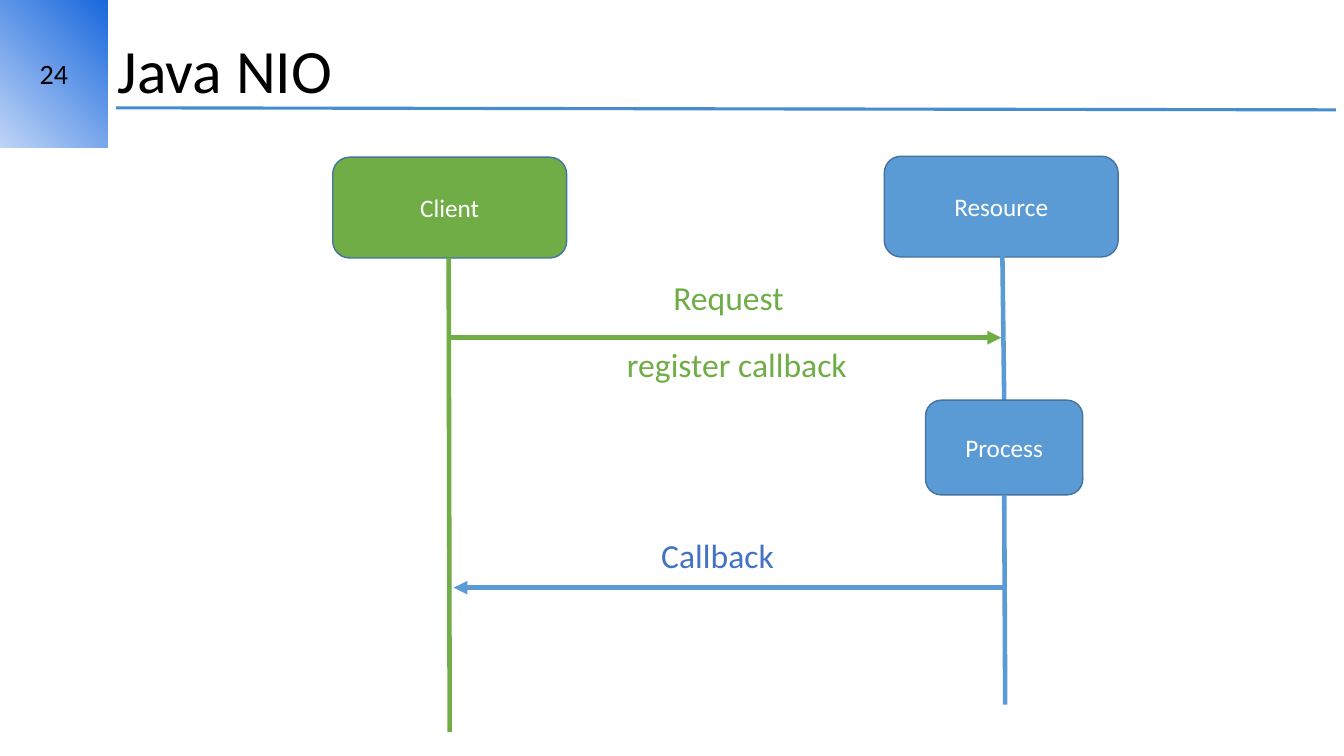
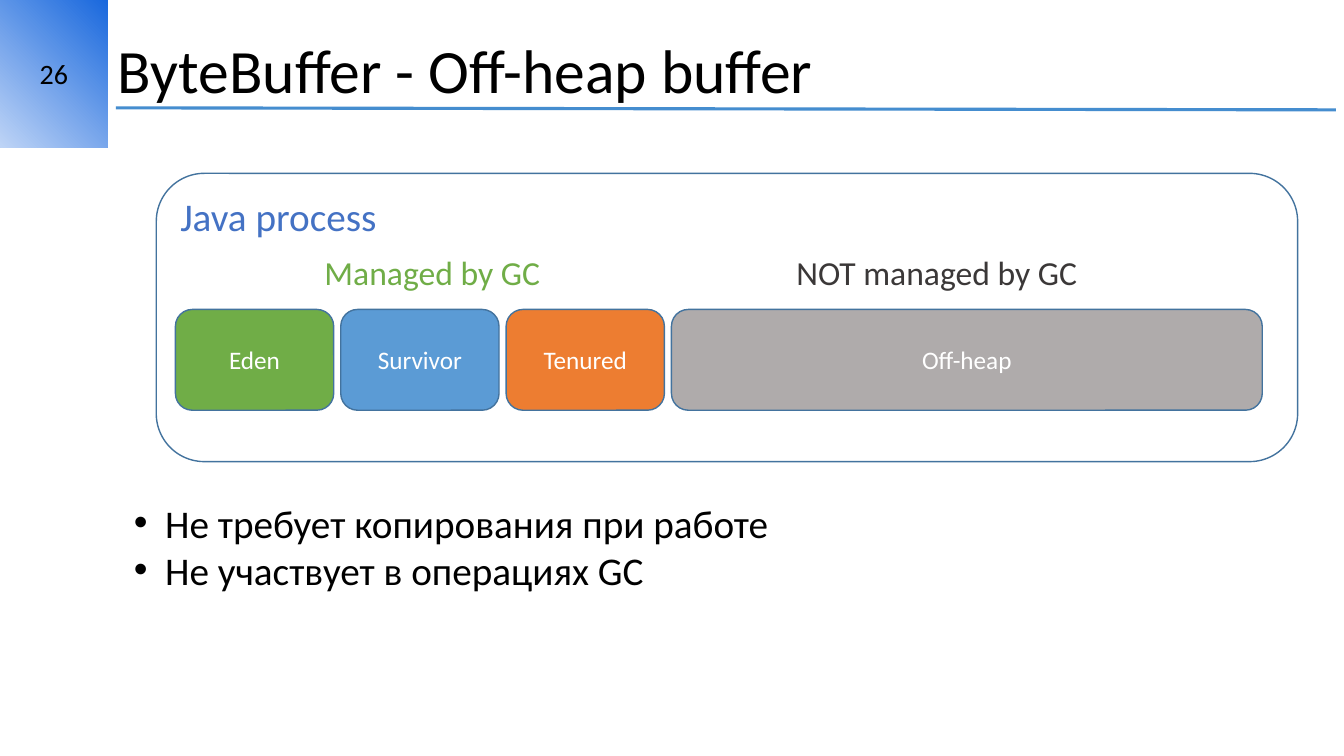
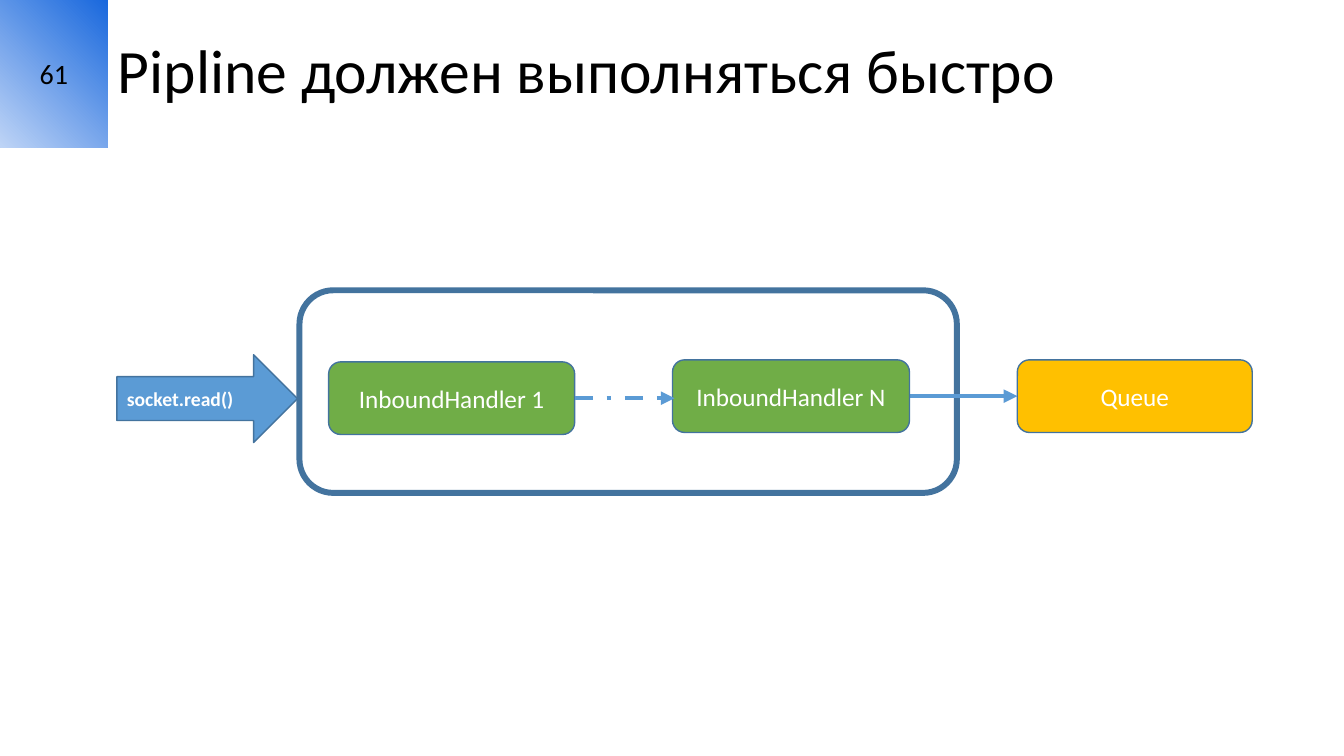
from lxml import etree
from pptx import Presentation
from pptx.dml.color import RGBColor as Rgb
from pptx.enum.dml import MSO_LINE as Dash
from pptx.enum.shapes import MSO_CONNECTOR as Link, MSO_SHAPE as Form
from pptx.enum.text import MSO_ANCHOR as Anchor, PP_ALIGN as Align
from pptx.oxml.ns import qn
from pptx.util import Pt

PX = 9144  # EMU per px, 100 px to the inch
WIDE, HIGH = 1333, 750

HUES = {
    "black": "000000", "white": "FFFFFF", "green": "70AD47", "blue": "5B9BD5",
    "ink": "4472C4", "edge": "43739E", "rule": "458DCF", "orange": "ED7D31",
    "grey": "AFABAB", "dark": "3B3838", "gold": "FFC000",
    "deep": "1968DD", "pale": "BED4F6",
}

# Font values by role
FONTS = {
    "title": {"size": Pt(44)},
    "number": {"size": Pt(20)},
    "head": {"size": Pt(28)},
    "label": {"size": Pt(24)},
    "box": {"size": Pt(18)},
    "small": {"size": Pt(14), "bold": True},
}


def hue(name):
    return Rgb.from_string(HUES[name])


def scale(*sizes):
    return [size * PX for size in sizes]


def write(shape, lines, role, color, align=Align.LEFT, anchor=Anchor.MIDDLE, **form):
    """Fill a shape with paragraphs of one style."""
    frame = shape.text_frame
    frame.word_wrap = True
    frame.vertical_anchor = anchor
    frame.text = "\n".join(lines)
    for para in frame.paragraphs:
        for key, value in {"alignment": align, **form}.items():
            setattr(para, key, value)
        for run in para.runs:
            for key, value in {"name": "Calibri", **FONTS[role]}.items():
                setattr(run.font, key, value)
            run.font.color.rgb = hue(color)
    return frame


def label(slide, place, lines, color, role="label", anchor=Anchor.TOP, **form):
    box = slide.shapes.add_textbox(*scale(*place))
    return write(box, lines, role, color, anchor=anchor, **form)


def block(slide, place, fill, form=Form.ROUNDED_RECTANGLE, weight=1):
    shape = slide.shapes.add_shape(form, *scale(*place))
    shape.shadow.inherit = False
    shape.fill.solid()
    shape.fill.fore_color.rgb = hue(fill)
    shape.line.color.rgb = hue("edge")
    shape.line.width = Pt(weight)
    return shape


def node(slide, place, text, fill):
    write(block(slide, place, fill), [text], "box", "white", Align.CENTER)


def line(slide, ends, color, weight=3.25, arrow=False, dash=None):
    link = slide.shapes.add_connector(Link.STRAIGHT, *scale(*ends))
    link.line.color.rgb = hue(color)
    link.line.width = Pt(weight)
    if dash:
        link.line.dash_style = dash
    if arrow:
        pen = link.line._get_or_add_ln()
        etree.SubElement(pen, qn("a:tailEnd"), type="triangle")
    props = link._element.spPr
    etree.SubElement(props, qn("a:effectLst"))


def bullets(slide, place, lines):
    frame = label(slide, place, lines, "black", "head")
    for para in frame.paragraphs:
        props = para._p.get_or_add_pPr()
        props.set("marL", str(31 * PX))
        props.set("indent", str(-31 * PX))
        etree.SubElement(props, qn("a:buFont"), typeface="Arial")
        etree.SubElement(props, qn("a:buChar"), char="•")


def page(deck, number, title, ruled=True):
    """Add a slide with the number band, the title and the rule."""
    slide = deck.slides.add_slide(deck.slide_layouts[6])
    band = block(slide, (0, 0, 107, 146), "deep", Form.RECTANGLE)
    band.line.fill.background()
    band.fill.gradient()
    band.fill.gradient_angle = 225
    for stop, name in zip(band.fill.gradient_stops, ("deep", "pale")):
        stop.color.rgb = hue(name)
    write(band, [str(number)], "number", "black", Align.CENTER)
    label(slide, (107, 0, WIDE - 107, 146), [title], "black", "title",
          Anchor.MIDDLE, line_spacing=0.9)
    if ruled:
        line(slide, (115, 107, 1325, 109), "rule", 2.25)
    return slide


def calls(deck):
    slide = page(deck, 24, "Java NIO")
    node(slide, (330, 156, 232, 100), "Client", "green")
    node(slide, (877, 155, 232, 100), "Resource", "blue")
    # Life lines
    line(slide, (445, 256, 446, 726), "green")
    line(slide, (994, 237, 996, 397), "blue")
    node(slide, (918, 397, 156, 94), "Process", "blue")
    line(slide, (996, 491, 997, 699), "blue")
    # Messages
    line(slide, (445, 335, 993, 335), "green", arrow=True)
    line(slide, (997, 583, 450, 583), "blue", arrow=True)
    label(slide, (658, 270, 146, 50), ["Request"], "green")
    label(slide, (612, 336, 265, 50), ["register callback"], "green")
    label(slide, (646, 526, 144, 50), ["Callback"], "ink")


def memory(deck):
    slide = page(deck, 26, "ByteBuffer - Off-heap buffer")
    frame = block(slide, (155, 172, 1132, 286), "white")
    write(frame, ["Java process"], "head", "ink", anchor=Anchor.TOP)
    # Memory areas in a row with equal gaps
    left, gap = 174, 7
    for text, fill, width in (("Eden", "green", 157), ("Survivor", "blue", 157),
                              ("Tenured", "orange", 157), ("Off-heap", "grey", 586)):
        node(slide, (left, 307, width, 100), text, fill)
        left += width + gap
    label(slide, (312, 245, 253, 50), ["Managed by GC"], "green")
    label(slide, (780, 245, 328, 50), ["NOT managed by GC"], "dark")
    bullets(slide, (123, 490, 657, 104),
            ["Не требует копирования при работе", "Не участвует в операциях GC"])


def pipeline(deck):
    slide = page(deck, 61, "Pipline должен выполняться быстро", ruled=False)
    block(slide, (297, 288, 652, 201), "white", weight=4.25)
    arrow = block(slide, (116, 352, 179, 87), "blue", Form.RIGHT_ARROW)
    write(arrow, ["socket.read()"], "small", "white")
    # Handlers and queue
    line(slide, (891, 393, 1009, 393), "blue", arrow=True)
    node(slide, (326, 359, 244, 72), "InboundHandler 1", "green")
    node(slide, (667, 357, 235, 72), "InboundHandler N", "green")
    node(slide, (1009, 357, 233, 72), "Queue", "gold")
    line(slide, (570, 395, 669, 395), "blue", arrow=True, dash=Dash.DASH_DOT)


def main():
    deck = Presentation()
    deck.slide_width, deck.slide_height = scale(WIDE, HIGH)
    for build in (calls, memory, pipeline):
        build(deck)
    deck.save("out.pptx")


if __name__ == "__main__":
    main()
